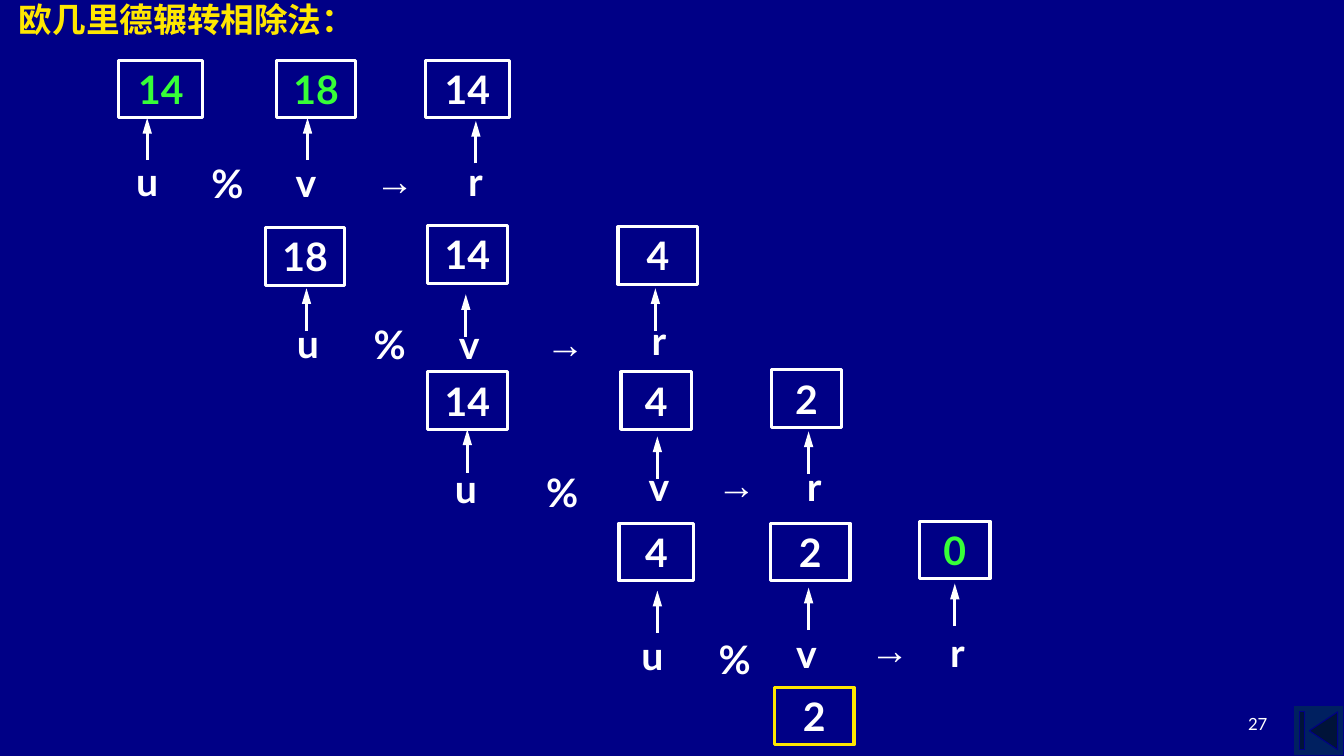
from pptx import Presentation
from pptx.dml.color import RGBColor
from pptx.enum.shapes import MSO_CONNECTOR, MSO_SHAPE
from pptx.enum.text import MSO_ANCHOR, MSO_AUTO_SIZE, PP_ALIGN
from pptx.oxml.ns import qn
from pptx.util import Inches, Pt
from lxml import etree

NAVY = RGBColor(0x00, 0x00, 0x86)
BUTTON = RGBColor(0x00, 0x20, 0x60)
WHITE = RGBColor(0xFF, 0xFF, 0xFF)
GREEN = RGBColor(0x37, 0xFF, 0x37)
YELLOW = RGBColor(0xFF, 0xE7, 0x01)

# Content: one division step per row, read as u % v → r
TITLE = "欧几里德辗转相除法："
PAGE = "27"
SYMBOLS = "u%v→r"
ROW_H = 0.57
ARROW_LEN = 0.42
STEPS = [
    {  # boxes: value, left, top, width, colour
        "boxes": [("14", 1.18, 0.6, 0.83, GREEN), ("18", 2.74, 0.6, 0.79, GREEN),
                  ("14", 4.22, 0.6, 0.83, WHITE)],
        # labels: left, top, width for each symbol
        "labels": [(0.38, 1.51, 2.16), (1.86, 1.53, 0.79), (2.09, 1.52, 1.89),
                   (3.52, 1.5, 0.79), (3.77, 1.51, 1.89)],
        # arrows: x and y of the tip
        "arrows": [(1.46, 1.17), (3.05, 1.17), (4.72, 1.2)],
    },
    {
        "boxes": [("18", 2.63, 2.26, 0.79, WHITE), ("14", 4.24, 2.24, 0.79, WHITE),
                  ("4", 6.13, 2.25, 0.79, WHITE)],
        "labels": [(2.54, 3.12, 1.03), (3.47, 3.13, 0.79), (4.23, 3.13, 0.85),
                   (5.21, 3.12, 0.79), (5.59, 3.09, 1.89)],
        "arrows": [(3.04, 2.86), (4.62, 2.92), (6.5, 2.86)],
    },
    {
        "boxes": [("14", 4.24, 3.69, 0.79, WHITE), ("4", 6.16, 3.69, 0.7, WHITE),
                  ("2", 7.65, 3.67, 0.7, WHITE)],
        "labels": [(4.13, 4.56, 0.98), (5.18, 4.6, 0.79), (5.59, 4.54, 1.89),
                   (6.91, 4.52, 0.79), (7.68, 4.54, 0.79)],
        "arrows": [(4.62, 4.27), (6.52, 4.33), (8.02, 4.28)],
    },
    {
        "boxes": [("4", 6.14, 5.19, 0.74, WHITE), ("2", 7.64, 5.19, 0.79, WHITE),
                  ("0", 9.12, 5.17, 0.7, GREEN)],
        "labels": [(6.1, 6.21, 0.74), (6.89, 6.25, 0.79), (7.51, 6.19, 0.98),
                   (8.43, 6.15, 0.79), (9.22, 6.18, 0.55)],
        "arrows": [(6.52, 5.86), (8.02, 5.83), (9.47, 5.79)],
    },
]
RESULT = ("2", 7.68, 6.82, 0.79, WHITE)


def write(sp, text, color=WHITE, size=28, font="Lato", bold=True,
          align=PP_ALIGN.CENTER, anchor=MSO_ANCHOR.TOP):
    tf = sp.text_frame
    tf.text = text
    tf.word_wrap = True
    tf.vertical_anchor = anchor
    tf.auto_size = MSO_AUTO_SIZE.NONE
    p = tf.paragraphs[0]
    p.alignment = align
    r = p.runs[0]
    r.font.size, r.font.bold, r.font.name = Pt(size), bold, font
    r.font.color.rgb = color
    etree.SubElement(r.font._element, qn("a:ea"), typeface=font)


def add_label(text, left, top, width, height=ROW_H, **style):
    sp = s.shapes.add_textbox(Inches(left), Inches(top), Inches(width), Inches(height))
    write(sp, text, **style)


def add_box(value, left, top, width, color, border=WHITE):
    sp = s.shapes.add_shape(MSO_SHAPE.RECTANGLE, Inches(left), Inches(top),
                            Inches(width), Inches(ROW_H))
    sp.shadow.inherit = False
    sp.fill.background()
    sp.line.color.rgb = border
    sp.line.width = Pt(2.25)
    write(sp, value, color)
    return sp


def add_arrow(x, tip, box):
    center, bottom = box.left + box.width // 2, box.top + box.height
    near = Inches(0.02)
    joined = abs(Inches(x) - center) < near and abs(Inches(tip) - bottom) < near
    x = center if joined else Inches(x)
    cn = s.shapes.add_connector(MSO_CONNECTOR.STRAIGHT, x, Inches(tip + ARROW_LEN),
                                x, Inches(tip))
    if joined:
        cn.end_connect(box, 2)
    cn.line.color.rgb = WHITE
    cn.line.width = Pt(2.25)
    etree.SubElement(cn.line._get_or_add_ln(), qn("a:tailEnd"),
                     type="triangle", w="med", len="lg")
    etree.SubElement(cn._element.spPr, qn("a:effectLst"))


prs = Presentation()
prs.slide_width, prs.slide_height = Inches(13.33), Inches(7.5)
s = prs.slides.add_slide(prs.slide_layouts[6])
s.background.fill.solid()
s.background.fill.fore_color.rgb = NAVY

# Return button and page number
button = s.shapes.add_shape(MSO_SHAPE.ACTION_BUTTON_BEGINNING, Inches(12.83), Inches(7),
                            Inches(0.5), Inches(0.5))
button.shadow.inherit = False
button.fill.solid()
button.fill.fore_color.rgb = BUTTON
button.line.color.rgb = NAVY
button.line.width = Pt(0.75)
add_label(PAGE, 9.56, 6.83, 3.11, 0.5, size=12, bold=False,
          align=PP_ALIGN.RIGHT, anchor=MSO_ANCHOR.BOTTOM)

# Title
add_label(TITLE, 0.09, -0.06, 3.54, 0.51, color=YELLOW, size=24,
          font="Noto Sans CJK SC", align=PP_ALIGN.LEFT)

# Division steps
for step in STEPS:
    boxes = [add_box(*box) for box in step["boxes"]]
    for symbol, place in zip(SYMBOLS, step["labels"]):
        add_label(symbol, *place, font="Arial" if symbol == "→" else "Lato")
    for (x, tip), box in zip(step["arrows"], boxes):
        add_arrow(x, tip, box)

# Greatest common divisor
add_box(*RESULT, border=YELLOW)

prs.save("out.pptx")
